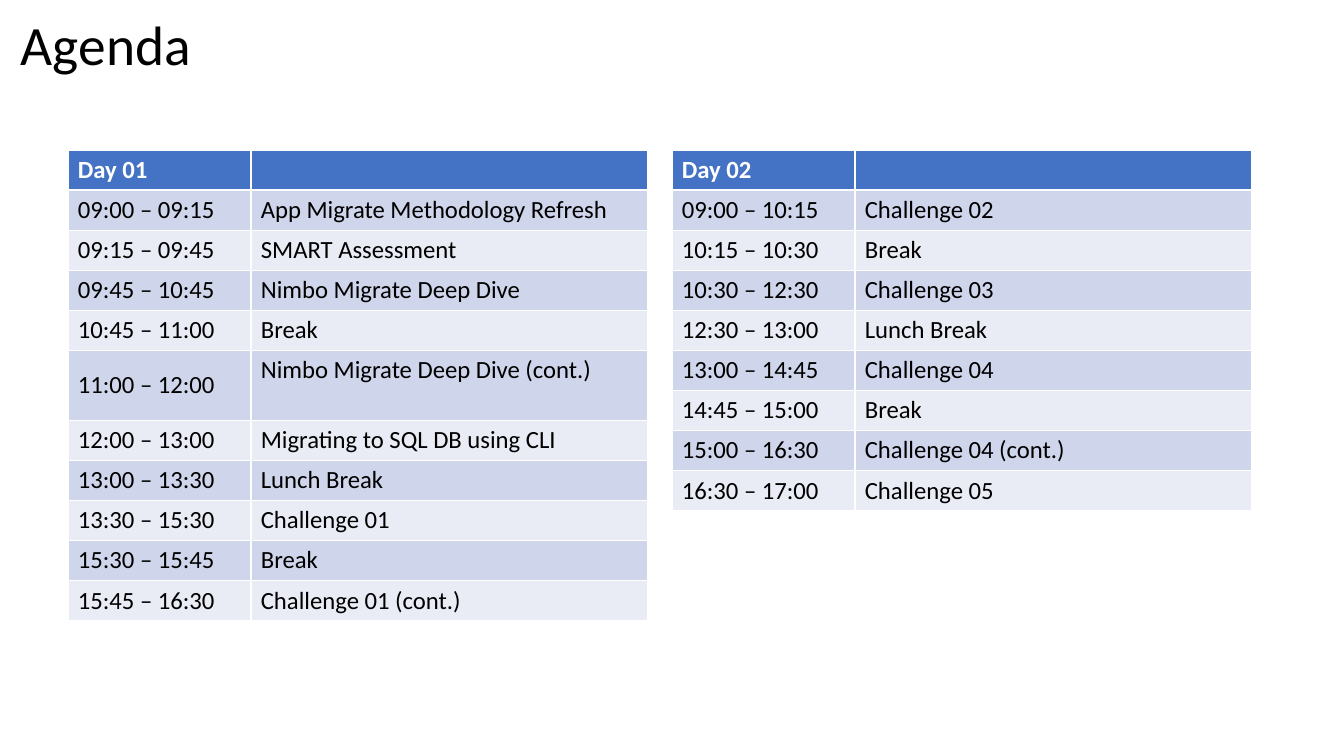
"""Build the two-day agenda slide."""
from pptx import Presentation
from pptx.dml.color import RGBColor
from pptx.enum.text import MSO_ANCHOR, MSO_AUTO_SIZE, PP_ALIGN
from pptx.util import Pt

PX = 9255
FONT = "Calibri"
BLACK = RGBColor(0x00, 0x00, 0x00)
WHITE = RGBColor(0xFF, 0xFF, 0xFF)
BLUE = RGBColor(0x44, 0x72, 0xC4)
BANDS = RGBColor(0xE9, 0xEB, 0xF5), RGBColor(0xCF, 0xD5, 0xEA)
COLS = 183, 397
ROW = 40
TALL = 70

DAY_ONE = [
    ("Day 01", ""),
    ("09:00 – 09:15", "App Migrate Methodology Refresh"),
    ("09:15 – 09:45", "SMART Assessment"),
    ("09:45 – 10:45", "Nimbo Migrate Deep Dive"),
    ("10:45 – 11:00", "Break"),
    ("11:00 – 12:00", "Nimbo Migrate Deep Dive (cont.)"),
    ("12:00 – 13:00", "Migrating to SQL DB using CLI"),
    ("13:00 – 13:30", "Lunch Break"),
    ("13:30 – 15:30", "Challenge 01"),
    ("15:30 – 15:45", "Break"),
    ("15:45 – 16:30", "Challenge 01 (cont.)"),
]
DAY_TWO = [
    ("Day 02", ""),
    ("09:00 – 10:15", "Challenge 02"),
    ("10:15 – 10:30", "Break"),
    ("10:30 – 12:30", "Challenge 03"),
    ("12:30 – 13:00", "Lunch Break"),
    ("13:00 – 14:45", "Challenge 04"),
    ("14:45 – 15:00", "Break"),
    ("15:00 – 16:30", "Challenge 04 (cont.)"),
    ("16:30 – 17:00", "Challenge 05"),
]


class Deck:
    """Hold the style and the current slide."""

    def __init__(self, width, height):
        self.show = Presentation()
        self.show.slide_width = width * PX
        self.show.slide_height = height * PX
        self.slide = self.show.slides.add_slide(self.show.slide_layouts[5])

    def style(self, frame, size, color, bold=False):
        for part in frame.paragraphs:
            part.alignment = PP_ALIGN.LEFT
            for run in part.runs:
                font = run.font
                font.name, font.size, font.bold = FONT, Pt(size), bold
                font.color.rgb = color

    def title(self, text, left, top, width, height):
        box = self.slide.shapes.title
        box.left, box.top = left * PX, top * PX
        box.width, box.height = width * PX, height * PX
        frame = box.text_frame
        frame.text = text
        frame.auto_size = MSO_AUTO_SIZE.NONE
        frame.vertical_anchor = MSO_ANCHOR.MIDDLE
        frame.paragraphs[0].line_spacing = 0.9
        self.style(frame, 40.4, BLACK)

    def table(self, rows, left, top, tall=None):
        grid = self.slide.shapes.add_table(
            len(rows), len(COLS), left * PX, top * PX,
            sum(COLS) * PX, len(rows) * ROW * PX).table
        for col, width in zip(grid.columns, COLS):
            col.width = width * PX
        for i, texts in enumerate(rows):
            grid.rows[i].height = (TALL if i == tall else ROW) * PX
            for j, text in enumerate(texts):
                self.cell(grid.cell(i, j), text, i)
        if tall:
            grid.cell(tall, 1).vertical_anchor = MSO_ANCHOR.TOP

    def cell(self, cell, text, row):
        head = row == 0
        cell.fill.solid()
        cell.fill.fore_color.rgb = BLUE if head else BANDS[row % 2]
        cell.vertical_anchor = MSO_ANCHOR.MIDDLE
        cell.text_frame.text = text
        self.style(cell.text_frame, 18, WHITE if head else BLACK, head)


def main():
    deck = Deck(1344, 756)
    deck.title("Agenda", 11, 17, 1214, 61)
    deck.table(DAY_ONE, 68, 150, tall=5)
    deck.table(DAY_TWO, 672, 150)
    deck.show.save("out.pptx")


if __name__ == "__main__":
    main()
